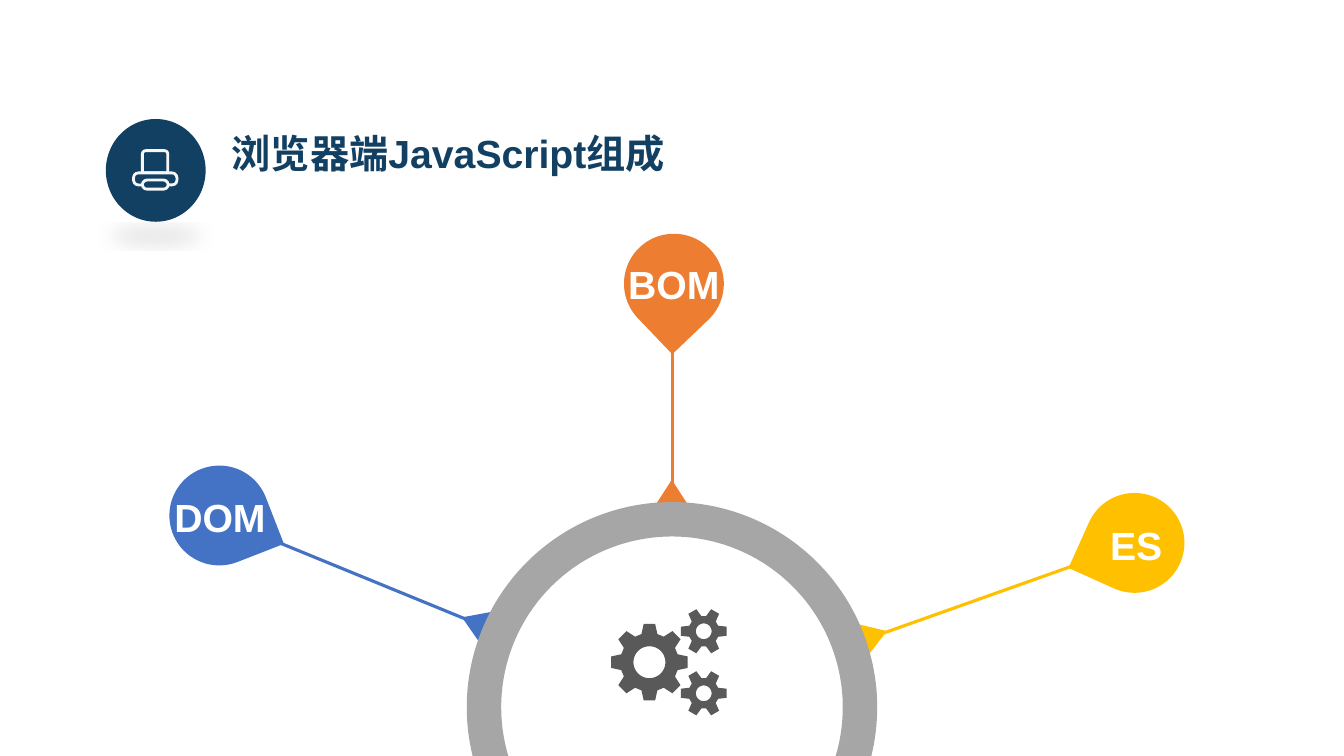
from math import asin, cos, degrees, radians, sin

from lxml.etree import SubElement
from pptx import Presentation
from pptx.dml.color import RGBColor
from pptx.enum.shapes import MSO_CONNECTOR, MSO_SHAPE
from pptx.enum.text import MSO_ANCHOR, MSO_AUTO_SIZE, PP_ALIGN
from pptx.oxml.ns import qn
from pptx.util import Pt

COLORS = {
    "navy": "124062", "orange": "ED7D31", "blue": "4472C4", "gold": "FFC000",
    "ring": "A6A6A6", "gear": "595959", "icon": "F6F6F6", "white": "FFFFFF",
}


def write_text(sp, text, color="white", align=PP_ALIGN.LEFT,
               anchor=MSO_ANCHOR.TOP, inset=(0, 0)):
    tf = sp.text_frame
    tf.word_wrap = True
    tf.auto_size = MSO_AUTO_SIZE.NONE
    tf.vertical_anchor = anchor
    tf.margin_left = tf.margin_right = Pt(inset[0])
    tf.margin_top = tf.margin_bottom = Pt(inset[1])
    p = tf.paragraphs[0]
    p.alignment = align
    p.line_spacing = 1.0
    p.space_before = Pt(0)
    r = p.add_run()
    r.text = text
    r.font.name = "Arial"
    r.font.size = Pt(28)
    r.font.bold = True
    r.font.color.rgb = RGBColor.from_string(COLORS[color])


def polar_points(center, polar):
    return [(Pt(center[0] + radius * cos(radians(angle))),
             Pt(center[1] + radius * sin(radians(angle))))
            for radius, angle in polar]


prs = Presentation()
prs.slide_width, prs.slide_height = Pt(960), Pt(540)
s = prs.slides.add_slide(prs.slide_layouts[5])
painted = []

title = s.shapes.title
title.left, title.top, title.width, title.height = Pt(160.6), Pt(89.3), Pt(386.6), Pt(39.6)
write_text(title, "浏览器端JavaScript组成", color="navy", inset=(5, 3))

pins = [
    ("BOM", "orange", (445.7, 167), 136.3, (480.2, 249.1, 480.2, 360),
     (468.7, 342.7), 0, (381.6, 182.2, 199.4, 41),
     dict(align=PP_ALIGN.CENTER, anchor=MSO_ANCHOR.MIDDLE)),
    ("DOM", "blue", (121, 332.6), 68.7, (195.1, 385.9, 346.3, 447.8),
     (326.9, 435.6), 292.4, (117.4, 352.1, 193.7, 19.4),
     dict(inset=(7.2, 0))),
    ("ES", "gold", (774.7, 352.1), 204.2, (771.1, 402.5, 617, 457.2),
     (614.2, 445), 70.6, (620.6, 372.2, 216.7, 19.4),
     dict(align=PP_ALIGN.RIGHT, inset=(7.2, 0))),
]
for label, color, drop_at, drop_turn, ends, tip_at, tip_turn, box, style in pins:
    drop = s.shapes.add_shape(MSO_SHAPE.TEAR, *map(Pt, drop_at), Pt(71.3), Pt(71.3))
    drop.rotation = drop_turn
    stem = s.shapes.add_connector(MSO_CONNECTOR.STRAIGHT, *map(Pt, ends))
    stem.line.color.rgb = RGBColor.from_string(COLORS[color])
    stem.line.width = Pt(2.25)
    SubElement(stem._element.spPr, qn("a:effectLst"))
    tip = s.shapes.add_shape(MSO_SHAPE.ISOSCELES_TRIANGLE, *map(Pt, tip_at), Pt(22.3), Pt(17.3))
    tip.rotation = tip_turn
    painted += [(drop, color), (tip, color)]
    write_text(s.shapes.add_textbox(*map(Pt, box)), label, **style)

ring_center = (480, 505.2)
ring_edge = []
for radius, step in ((146.6, 1), (122, -1)):
    dip = degrees(asin((540 - ring_center[1]) / radius))
    sweep = [180 - dip + (180 + 2 * dip) * i / 120 for i in range(121)]
    ring_edge += polar_points(ring_center, [(radius, a) for a in sweep[::step]])

gear_edges = []
for center, outer, root, hole, teeth in (
    ((463.9, 473), 27.6, 20.9, 11.4, 8),
    ((502.7, 450.9), 16.6, 11, 5.6, 6),
    ((502.7, 495.2), 16.6, 11, 5.6, 6),
):
    pitch = 360 / teeth
    profile = [(radius, pitch * (i + shift)) for i in range(teeth)
               for radius, shift in ((root, -0.35), (outer, -0.19), (outer, 0.19), (root, 0.35))]
    gear_edges.append(polar_points(center, profile))
    gear_edges.append(polar_points(center, [(hole, -a) for a in range(0, 360, 6)]))

for edges, color in (([ring_edge], "ring"), (gear_edges, "gear")):
    builder = s.shapes.build_freeform(*edges[0][0])
    for i, edge in enumerate(edges):
        if i:
            builder.move_to(*edge[0])
        builder.add_line_segments(edge[1:], close=True)
    painted.append((builder.convert_to_shape(), color))

badge = s.shapes.add_shape(MSO_SHAPE.OVAL, Pt(75.6), Pt(85), Pt(71.3), Pt(73.4))
painted.append((badge, "navy"))

for sp, color in painted:
    sp.shadow.inherit = False
    sp.fill.solid()
    sp.fill.fore_color.rgb = RGBColor.from_string(COLORS[color])
    sp.line.fill.background()

effects = badge._element.spPr.find(qn("a:effectLst"))
shadow = SubElement(effects, qn("a:outerShdw"), blurRad=str(Pt(14)), dist=str(Pt(3)),
                    dir="5400000", sx="90000", sy="-19000", algn="b", rotWithShape="0")
shade = SubElement(shadow, qn("a:srgbClr"), val="000000")
SubElement(shade, qn("a:alpha"), val="10000")

for kind, box, rounding in (
    (MSO_SHAPE.ROUND_2_SAME_RECTANGLE, (101.7, 107.6, 18.2, 15.8), 0.15),
    (MSO_SHAPE.ROUNDED_RECTANGLE, (95.4, 123.5, 31, 8.6), 0.4),
    (MSO_SHAPE.ROUNDED_RECTANGLE, (101.7, 128.6, 18.4, 6.5), 0.5),
):
    part = s.shapes.add_shape(kind, *map(Pt, box))
    part.adjustments[0] = rounding
    part.shadow.inherit = False
    part.fill.solid()
    part.fill.fore_color.rgb = RGBColor.from_string(COLORS["navy"])
    part.line.color.rgb = RGBColor.from_string(COLORS["icon"])
    part.line.width = Pt(2)

prs.save("out.pptx")
